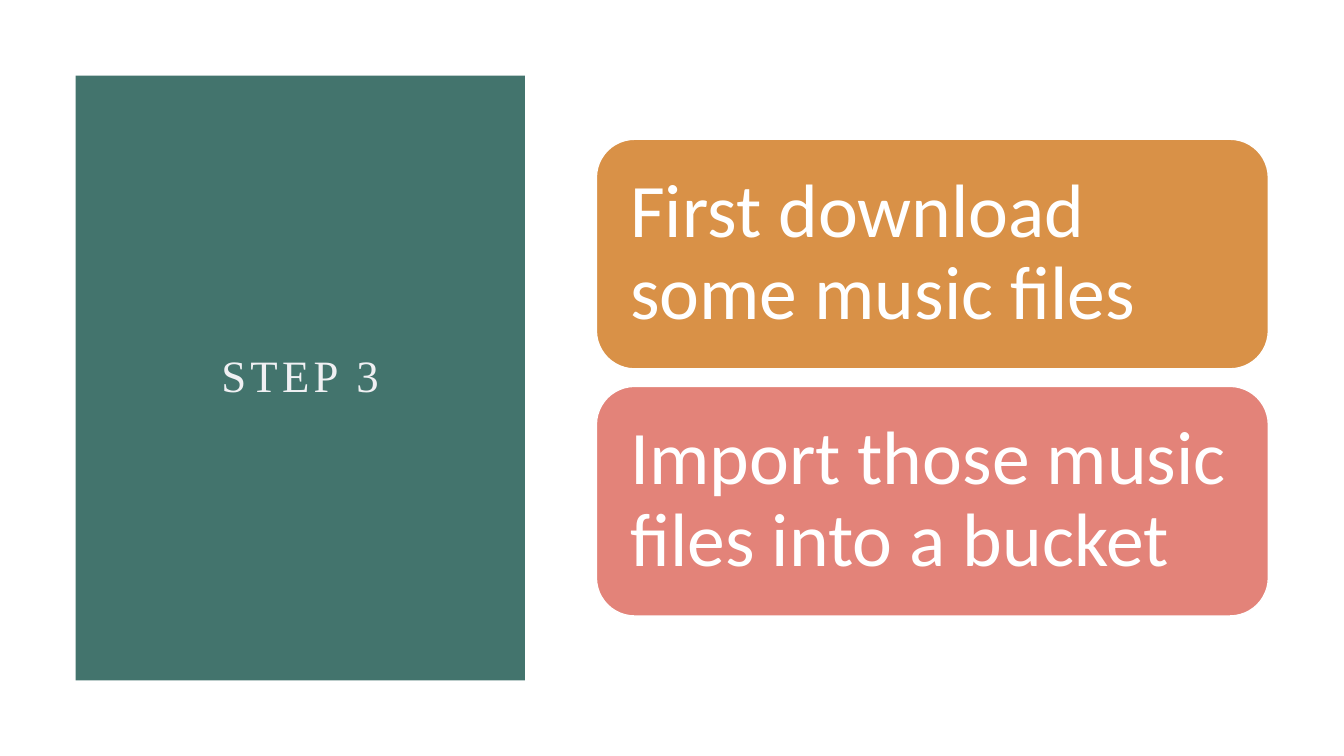
"""Build the Step 3 slide: a title panel beside two instruction cards."""
from pptx import Presentation
from pptx.dml.color import RGBColor
from pptx.enum.shapes import MSO_SHAPE as Shape
from pptx.enum.text import MSO_ANCHOR as Anchor, PP_ALIGN as Align
from pptx.util import Pt

COLORS = {
    "panel": "43746D",
    "title": "F0F0F3",
    "download": "D99147",
    "import": "E38379",
    "white": "FFFFFF",
}
TITLE_FORMAT = {"name": "Times New Roman", "size": Pt(32)}
CARD_FORMAT = {"name": "Calibri", "size": Pt(54)}


def add_block(page, kind, bounds, fill, inset):
    block = page.shapes.add_shape(kind, *[Pt(length) for length in bounds])
    block.shadow.inherit = False
    block.fill.solid()
    block.fill.fore_color.rgb = RGBColor.from_string(COLORS[fill])
    frame = block.text_frame
    frame.word_wrap = True
    frame.vertical_anchor = Anchor.MIDDLE
    for side in ("left", "top", "right", "bottom"):
        setattr(frame, f"margin_{side}", Pt(inset))
    return block


def write(block, text, align, color, font_format):
    para = block.text_frame.paragraphs[0]
    para.alignment = align
    para.line_spacing = 0.9
    span = para.add_run()
    span.text = text
    span.font.color.rgb = RGBColor.from_string(COLORS[color])
    for name, value in font_format.items():
        setattr(span.font, name, value)
    return span


deck = Presentation()
deck.slide_width, deck.slide_height = Pt(960), Pt(540)
page = deck.slides.add_slide(deck.slide_layouts[6])

panel = add_block(page, Shape.RECTANGLE, (54, 54, 321, 432), "panel", 54)
panel.line.fill.background()
title = write(panel, "STEP 3", Align.CENTER, "title", TITLE_FORMAT)
title._r.get_or_add_rPr().set("spc", "300")

cards = [
    ("download", "First download some music files"),
    ("import", "Import those music files into a bucket"),
]
for row, (fill, text) in enumerate(cards):
    bounds = (426, 99.5 + row * 176.5, 480, 164)
    card = add_block(page, Shape.ROUNDED_RECTANGLE, bounds, fill, 16.2)
    card.line.color.rgb = RGBColor.from_string(COLORS["white"])
    card.line.width = Pt(1)
    write(card, text, Align.LEFT, "white", CARD_FORMAT)

deck.save("out.pptx")
